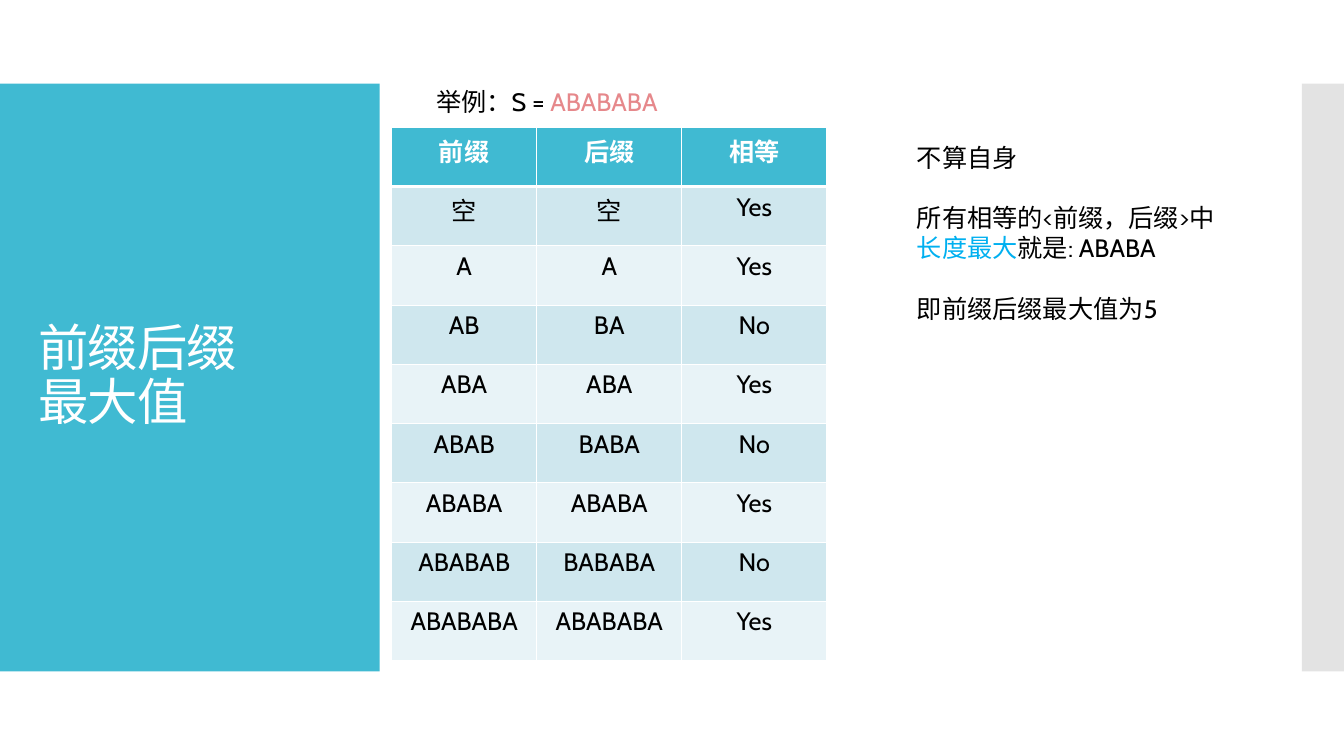
from dataclasses import dataclass

from lxml.etree import SubElement
from pptx import Presentation
from pptx.dml.color import RGBColor
from pptx.enum.shapes import MSO_SHAPE
from pptx.enum.text import MSO_ANCHOR, PP_ALIGN
from pptx.oxml import parse_xml
from pptx.oxml.ns import nsdecls, qn
from pptx.util import Cm, Pt

FONT = "Cabin"
TEAL = "40BAD2"
WHITE = "FFFFFF"
BLACK = "000000"
BANDS = ("CFE7EE", "E8F3F7")
SAMPLE = "ABABABA"


@dataclass
class Box:
    left: float
    top: float
    width: float
    height: float

    def lengths(self) -> tuple:
        return Cm(self.left), Cm(self.top), Cm(self.width), Cm(self.height)


@dataclass
class Run:
    text: str
    color: str = BLACK
    size: float = 18
    bold: bool = False
    spacing: int = 0


@dataclass
class Para:
    runs: list[Run]
    before: float = 0


@dataclass
class Panel:
    box: Box
    color: str
    opacity: int = 100


@dataclass
class Label:
    box: Box
    paras: list[Para]
    anchor: MSO_ANCHOR = MSO_ANCHOR.TOP
    line_spacing: float = 1.0


def rgb(color: str) -> RGBColor:
    return RGBColor.from_string(color)


def add_run(p, run: Run) -> None:
    r = p.add_run()
    r.text = run.text
    r.font.name = FONT
    r.font.size = Pt(run.size)
    r.font.bold = run.bold
    r.font.color.rgb = rgb(run.color)
    if run.spacing:
        r.font._element.set("spc", str(run.spacing))


def add_panel(s, panel: Panel) -> None:
    sp = s.shapes.add_shape(MSO_SHAPE.RECTANGLE, *panel.box.lengths())
    sp.shadow.inherit = False
    sp.fill.solid()
    sp.fill.fore_color.rgb = rgb(panel.color)
    sp.line.fill.background()
    if panel.opacity < 100:
        color = next(sp.element.iter(qn("a:srgbClr")))
        SubElement(color, qn("a:alpha")).set("val", str(panel.opacity * 1000))


def add_label(s, label: Label) -> None:
    tf = s.shapes.add_textbox(*label.box.lengths()).text_frame
    tf.word_wrap = True
    tf.vertical_anchor = label.anchor
    for i, para in enumerate(label.paras):
        p = tf.add_paragraph() if i else tf.paragraphs[0]
        p.line_spacing = label.line_spacing
        p.space_before = Pt(para.before)
        for run in para.runs:
            add_run(p, run)


def set_borders(cell, top: float, bottom: float) -> None:
    tc_pr = cell._tc.get_or_add_tcPr()
    widths = {"lnL": 1, "lnR": 1, "lnT": top, "lnB": bottom}
    for i, (side, width) in enumerate(widths.items()):
        tc_pr.insert(i, parse_xml(
            f'<a:{side} {nsdecls("a")} w="{Pt(width)}"><a:solidFill>'
            f'<a:srgbClr val="{WHITE}"/></a:solidFill></a:{side}>'))


def add_grid(s, box: Box, rows: list[tuple[str, ...]]) -> None:
    table = s.shapes.add_table(len(rows), len(rows[0]), *box.lengths()).table
    for row in table.rows:
        row.height = Cm(box.height / len(rows))
    for i, row in enumerate(rows):
        header = i == 0
        for j, text in enumerate(row):
            cell = table.cell(i, j)
            cell.fill.solid()
            cell.fill.fore_color.rgb = rgb(TEAL if header else BANDS[(i - 1) % 2])
            set_borders(cell, 3 if i == 1 else 1, 3 if header else 1)
            p = cell.text_frame.paragraphs[0]
            p.alignment = PP_ALIGN.CENTER
            add_run(p, Run(text, WHITE if header else BLACK, bold=header))


def affix_rows(sample: str) -> list[tuple[str, ...]]:
    rows = [("前缀", "后缀", "相等"), ("空", "空", "Yes")]
    for n in range(1, len(sample) + 1):
        prefix, suffix = sample[:n], sample[-n:]
        rows.append((prefix, suffix, "Yes" if prefix == suffix else "No"))
    return rows


PANELS = [
    Panel(Box(0, 2.11, 9.57, 14.81), TEAL),
    Panel(Box(32.81, 2.11, 1.06, 14.81), "C8C8C8", 50),
]
TITLE = Label(
    Box(0.71, 3.12, 8.18, 12.78),
    [Para([Run(line, WHITE, 36, spacing=-60)]) for line in ("前缀后缀", "最大值")],
    MSO_ANCHOR.MIDDLE,
    0.9,
)
EXAMPLE = Label(
    Box(10.74, 2.06, 9.22, 1.07),
    [Para([Run("举例：S = "), Run(SAMPLE, "E6888B")])],
)
NOTES = Label(
    Box(22.86, 3.45, 8.46, 5.64),
    [
        Para([Run("不算自身")]),
        Para([Run("所有相等的<前缀，后缀>中")], 21.6),
        Para([Run("长度最大", "00B0F0"), Run("就是: ABABA")]),
        Para([Run("即前缀后缀最大值为5")], 21.6),
    ],
)


def main() -> None:
    prs = Presentation()
    prs.slide_width, prs.slide_height = Cm(33.87), Cm(19.05)
    s = prs.slides.add_slide(prs.slide_layouts[6])
    for panel in PANELS:
        add_panel(s, panel)
    add_label(s, TITLE)
    add_grid(s, Box(9.87, 3.21, 10.97, 13.44), affix_rows(SAMPLE))
    for label in (EXAMPLE, NOTES):
        add_label(s, label)
    prs.save("out.pptx")


if __name__ == "__main__":
    main()
